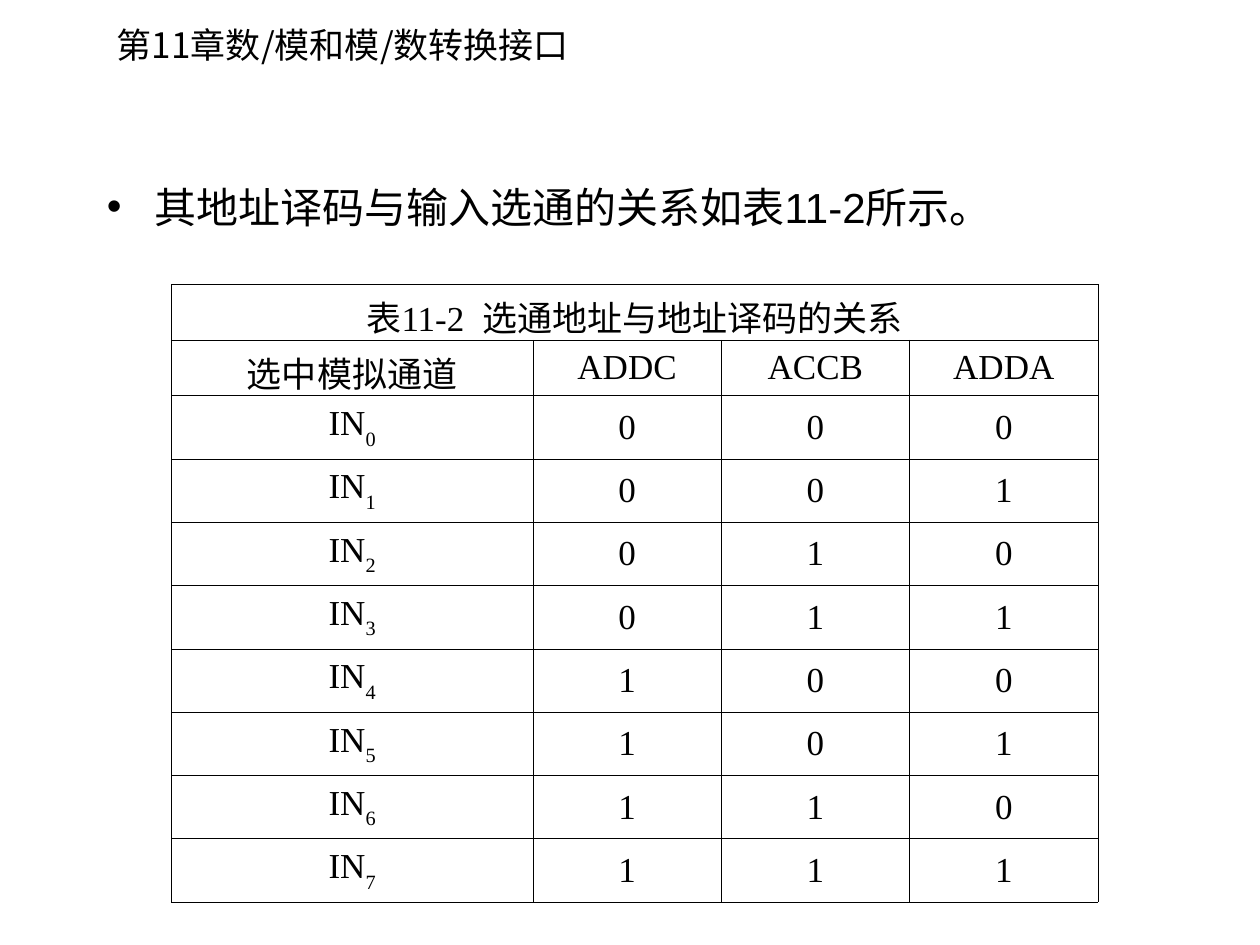
from dataclasses import dataclass
from lxml.etree import SubElement
from pptx import Presentation
from pptx.dml.color import RGBColor
from pptx.enum.text import MSO_ANCHOR as Anchor, MSO_AUTO_SIZE as AutoSize, PP_ALIGN as Align
from pptx.oxml.ns import qn
from pptx.slide import Slide
from pptx.util import Inches, Pt

WIDTH, HEIGHT = Inches(10), Inches(7.5)
HANGING = Inches(0.38)


def color(hex_text):
    return RGBColor.from_string(hex_text)


def across(percent):
    return round(WIDTH * percent / 100)


def down(percent):
    return round(HEIGHT * percent / 100)


def set_values(target, values):
    for name, value in values.items():
        setattr(target, name, value)


@dataclass
class Page:
    """Style and current slide; lengths are percent of the slide's size."""
    slide: Slide
    ink: str = "000000"
    east_asian: str = "Noto Sans CJK SC"
    outer_line: float = 0.34
    inner_line: float = 0.45

    def span(self, para, text, font, size, baseline=None):
        span = para.add_run()
        span.text = text
        set_values(span.font, {"name": font, "size": Pt(size)})
        span.font.color.rgb = color(self.ink)
        props = span.font._element
        SubElement(props, qn("a:ea")).set("typeface", self.east_asian)
        if baseline:
            props.set("baseline", str(baseline * 1000))

    def hang(self, para, bullet=None):
        props = para._p.get_or_add_pPr()
        set_values_xml = {"marL": HANGING, "indent": -HANGING}
        for name, value in set_values_xml.items():
            props.set(name, str(value))
        if bullet:
            bullet_color = SubElement(props, qn("a:buClr"))
            SubElement(bullet_color, qn("a:srgbClr")).set("val", self.ink)
            SubElement(props, qn("a:buFont")).set("typeface", "Arial")
            SubElement(props, qn("a:buChar")).set("char", bullet)

    def text(self, left, top, width, height, text, font, size,
             bullet=None, line_spacing=None, auto_size=AutoSize.NONE):
        box = self.slide.shapes.add_textbox(
            across(left), down(top), across(width), down(height))
        set_values(box.text_frame, {"word_wrap": True, "auto_size": auto_size})
        para = box.text_frame.paragraphs[0]
        if bullet:
            self.hang(para, bullet)
        if line_spacing:
            para.line_spacing = line_spacing
        self.span(para, text, font, size)

    def border(self, cell, side, points):
        line = SubElement(cell._tc.get_or_add_tcPr(), qn(f"a:ln{side}"), w=str(Pt(points)))
        fill = SubElement(line, qn("a:solidFill"))
        SubElement(fill, qn("a:srgbClr")).set("val", self.ink)

    def table(self, left, top, widths, heights, rows, font, size):
        table = self.slide.shapes.add_table(
            len(heights), len(widths), across(left), down(top),
            across(sum(widths)), down(sum(heights))).table
        set_values(table, {"first_row": False, "horz_banding": False})
        for column, width in zip(table.columns, widths):
            column.width = across(width)
        for row, height in zip(table.rows, heights):
            row.height = down(height)
        table.cell(0, 0).merge(table.cell(0, len(widths) - 1))

        for r, row in enumerate(table.rows):
            for c, cell in enumerate(row.cells):
                at_edge = {"L": c == 0, "R": c == len(widths) - 1, "T": r == 0, "B": False}
                for side, outer in at_edge.items():
                    self.border(cell, side, self.outer_line if outer else self.inner_line)
                cell.fill.background()
                cell.vertical_anchor = Anchor.MIDDLE
                if c < len(rows[r]):
                    para = cell.text_frame.paragraphs[0]
                    self.hang(para)
                    para.alignment = Align.CENTER
                    base, *subscript = rows[r][c]
                    self.span(para, base, font, size)
                    for text in subscript:
                        self.span(para, text, font, size, baseline=-30)


deck = Presentation()
set_values(deck, {"slide_width": WIDTH, "slide_height": HEIGHT})
page = Page(deck.slides.add_slide(deck.slide_layouts[6]))

# Chapter heading
page.text(8.3, 1.87, 38.6, 10.27, "第11章数/模和模/数转换接口",
          "Noto Sans CJK SC", 20, auto_size=AutoSize.SHAPE_TO_FIT_TEXT)

# Lead sentence
page.text(7.5, 17.47, 97.3, 10.53, "其地址译码与输入选通的关系如表11-2所示。",
          "Arial", 24, bullet="•", line_spacing=1.2)

# Address table: each channel's address is its number in binary
caption = [("表11-2  选通地址与地址译码的关系",)]
header = [("选中模拟通道",), ("ADDC",), ("ACCB",), ("ADDA",)]
channels = [[("IN", str(n)), *((bit,) for bit in f"{n:03b}")] for n in range(8)]
page.table(13.6, 30.13, [28.7] + [14.95] * 3, [5.87] * 2 + [6.7] * 8,
           [caption, header, *channels], "Times New Roman", 20)

deck.save("out.pptx")
